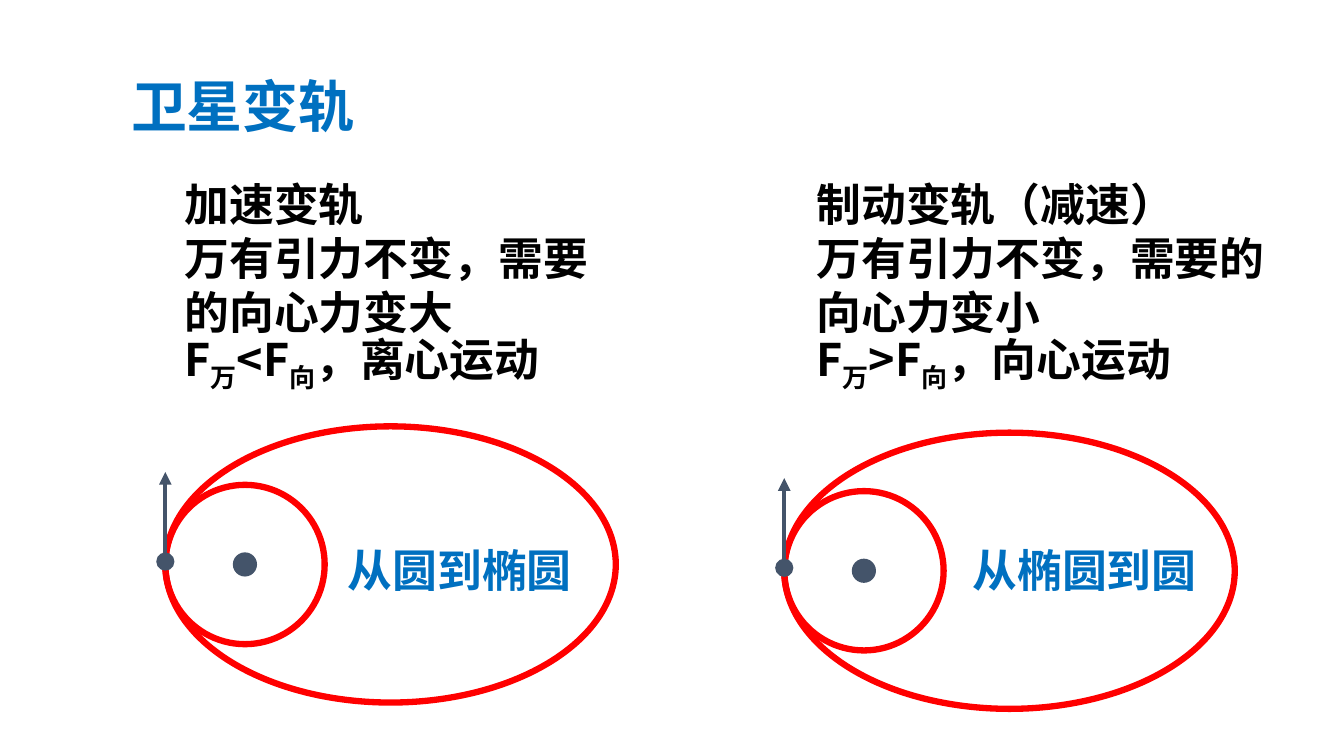
from lxml import etree
from pptx import Presentation
from pptx.dml.color import RGBColor
from pptx.enum.shapes import MSO_CONNECTOR as Connector, MSO_SHAPE as Shape
from pptx.enum.text import MSO_ANCHOR as Anchor, MSO_AUTO_SIZE as AutoSize, PP_ALIGN as Align
from pptx.oxml.ns import qn
from pptx.util import Pt

FONT = "Noto Sans CJK SC"
BLUE, BLACK, RED, SLATE = "0070C0", "000000", "FF0000", "44546A"
LINE_RATIO = 1.207

TITLE = ("卫星变轨", (86.4, 47.1, 326.9, 55.4))
PANELS = [
    {
        "lines": [
            ["加速变轨"],
            ["万有引力不变，需要的向心力变大"],
            ["F", "万", "<F", "向", "，离心运动"],
        ],
        "body": (124.6, 122.3, 308.9, 162.7),
        "label": ("从圆到椭圆", (241.2, 384, 180.7, 46.1)),
        "orbit": (118.1, 403.2),
    },
    {
        "lines": [
            ["制动变轨（减速）"],
            ["万有引力不变，需要的向心力变小"],
            ["F", "万", ">F", "向", "，向心运动"],
        ],
        "body": (576, 122.3, 337, 200.9),
        "label": ("从椭圆到圆", (687.6, 384, 180.7, 46.1)),
        "orbit": (560.2, 407.7),
    },
]
SUBSCRIPTS = {"万", "向"}
CIRCLE = 113.8
ELLIPSE = (321.8, 197.3)
PLANET, SATELLITE = 17.3, 13
SATELLITE_RISE, ARROW = 2.1, 64


def color(value):
    return RGBColor.from_string(value)


def place(box, bounds):
    box.left, box.top, box.width, box.height = map(Pt, bounds)


def write(box, lines, size, shade):
    frame = box.text_frame
    frame.word_wrap = True
    frame.auto_size = AutoSize.NONE
    frame.vertical_anchor = Anchor.TOP
    for index, line in enumerate(lines):
        para = frame.add_paragraph() if index else frame.paragraphs[0]
        para.alignment = Align.LEFT
        para.space_before = para.space_after = Pt(0)
        para.line_spacing = Pt(round(size * LINE_RATIO, 1))
        props = para._p.get_or_add_pPr()
        props.set("marL", "0")
        props.set("indent", "0")
        etree.SubElement(props, qn("a:buNone"))
        for text in line:
            span = para.add_run()
            span.text = text
            font = span.font
            font.name, font.size, font.bold = FONT, Pt(size), True
            font.color.rgb = color(shade)
            etree.SubElement(font._element, qn("a:ea")).set("typeface", FONT)
            if text in SUBSCRIPTS:
                font._element.set("baseline", "-25000")


def add_oval(group, bounds, fill=None):
    oval = group.shapes.add_shape(Shape.OVAL, *map(Pt, bounds))
    oval.shadow.inherit = False
    if fill:
        oval.fill.solid()
        oval.fill.fore_color.rgb = color(fill)
        oval.line.fill.background()
    else:
        oval.fill.background()
        oval.line.color.rgb = color(RED)
        oval.line.width = Pt(4.5)


def add_dot(group, x, y, size):
    add_oval(group, (x - size / 2, y - size / 2, size, size), SLATE)


def add_orbits(page, x, y):
    group = page.shapes.add_group_shape()
    for width, height in ((CIRCLE, CIRCLE), ELLIPSE):
        add_oval(group, (x, y - height / 2, width, height))
    add_dot(group, x + CIRCLE / 2, y, PLANET)
    start = y - SATELLITE_RISE
    add_dot(group, x, start, SATELLITE)
    arrow = group.shapes.add_connector(
        Connector.STRAIGHT, Pt(x), Pt(start), Pt(x), Pt(start - ARROW)
    )
    arrow.line.color.rgb = color(SLATE)
    arrow.line.width = Pt(3)
    etree.SubElement(arrow.line._get_or_add_ln(), qn("a:tailEnd")).set("type", "triangle")
    etree.SubElement(arrow._element.spPr, qn("a:effectLst"))


def main():
    deck = Presentation()
    deck.slide_width, deck.slide_height = Pt(960), Pt(540)
    page = deck.slides.add_slide(deck.slide_layouts.get_by_name("Two Content"))
    title, *bodies = page.placeholders
    heading, bounds = TITLE
    place(title, bounds)
    write(title, [[heading]], 40, BLUE)
    for panel, body in zip(PANELS, bodies):
        place(body, panel["body"])
        write(body, panel["lines"], 32, BLACK)
        add_orbits(page, *panel["orbit"])
        text, bounds = panel["label"]
        label = page.shapes.add_textbox(*map(Pt, bounds))
        write(label, [[text]], 32, BLUE)
    deck.save("out.pptx")


if __name__ == "__main__":
    main()
